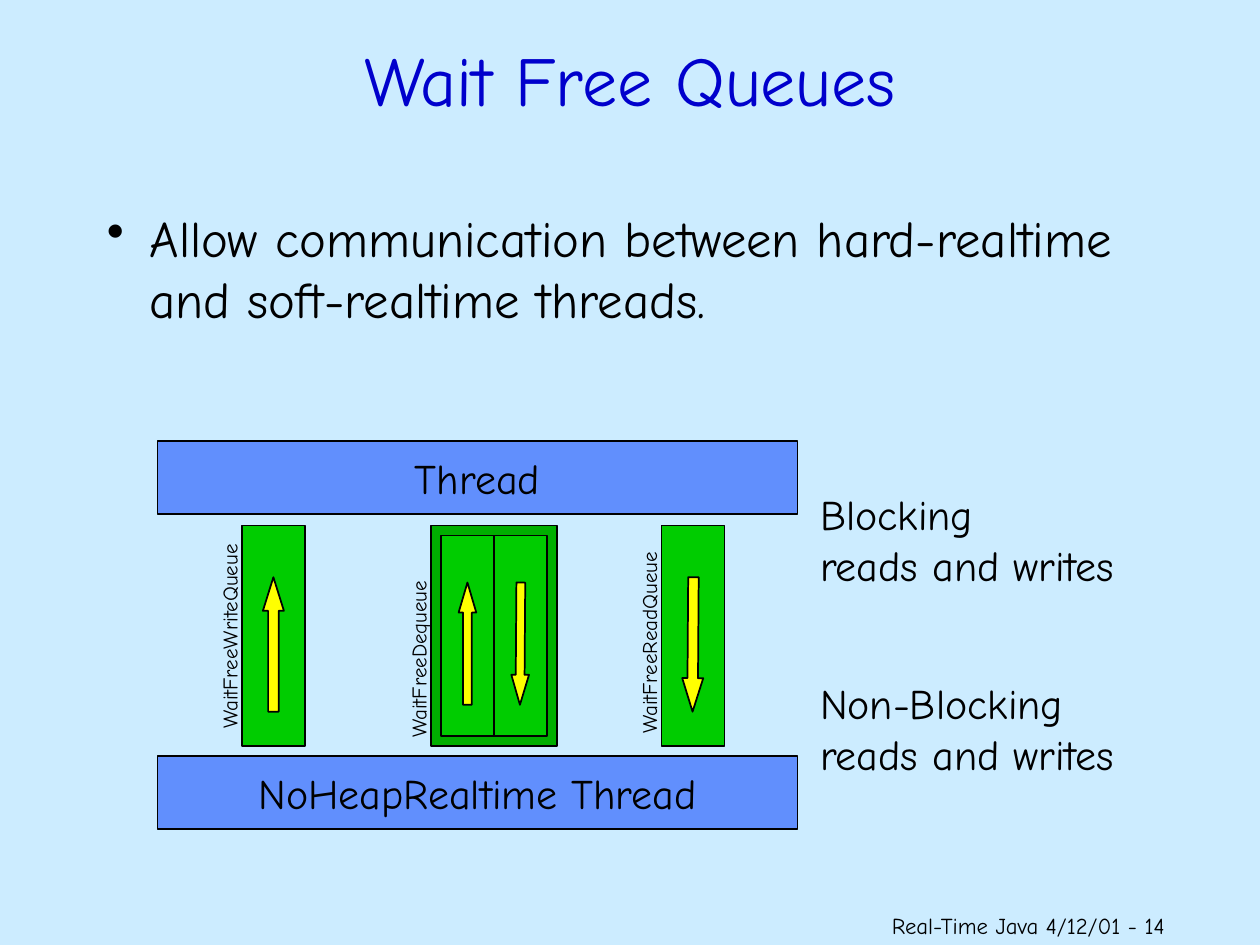
import pptx
import pptx.util
import pptx.dml.color
import pptx.enum.shapes
import pptx.enum.text
from lxml import etree

Inch = pptx.util.Inches
Pt = pptx.util.Pt
Kind = pptx.enum.shapes.MSO_SHAPE
Align = pptx.enum.text.PP_ALIGN
Mid = pptx.enum.text.MSO_ANCHOR.MIDDLE
Top = pptx.enum.text.MSO_ANCHOR.TOP

FONT = "Comic Neue"
HUES = {"sky": "CCECFF", "title": "0000CC", "ink": "000000", "bar": "618FFD",
        "lane": "00CC00", "frame": "00AE00", "arrow": "FFFF00"}

TITLE = "Wait Free Queues"
POINT = "Allow communication between hard-realtime and soft-realtime threads."
FOOT = "Real-Time Java 4/12/01 - 14"
BARS = [("Thread", 3.5), ("NoHeapRealtime Thread", 6)]
SIDES = [("Blocking", 3.83), ("Non-Blocking", 5.33)]
SIDE = "reads and writes"
UP, DOWN = 0, 180.4
ROW, TALL = 4.17, 1.75
QUEUES = [
    ("WaitFreeWriteQueue", 1.92, 0.5, 1.68, 5.04, [UP]),
    ("WaitFreeDequeue", 3.42, 1, 1.46, 5.22, [UP, DOWN]),
    ("WaitFreeReadQueue", 5.25, 0.5, 1.66, 5.09, [DOWN]),
]
PAD = 0.08

deck = pptx.Presentation()
deck.slide_width, deck.slide_height = Inch(10), Inch(7.5)
slide = deck.slides.add_slide(deck.slide_layouts[5])


def hue(name):
    return pptx.dml.color.RGBColor.from_string(HUES[name])


def put(item, form):
    for key, val in form.items():
        setattr(item, key, val)


def write(shape, lines, size, tint="ink", align=Align.LEFT, anchor=Top, wrap=True):
    frame = shape.text_frame
    put(frame, {"text": "\n".join(lines), "word_wrap": wrap, "vertical_anchor": anchor,
                "margin_left": Inch(0.1), "margin_right": Inch(0.1),
                "margin_top": Inch(0.05), "margin_bottom": Inch(0.05)})
    for para in frame.paragraphs:
        para.alignment = align
        for run in para.runs:
            put(run.font, {"name": FONT, "size": Pt(size)})
            run.font.color.rgb = hue(tint)


def note(area, lines, size, **form):
    box = slide.shapes.add_textbox(*map(Inch, area))
    write(box, lines, size, **form)
    return box


def draw(kind, area, tint):
    shape = slide.shapes.add_shape(kind, *map(Inch, area))
    shape.shadow.inherit = False
    shape.fill.solid()
    shape.fill.fore_color.rgb = hue(tint)
    shape.line.color.rgb = hue("ink")
    shape.line.width = Pt(1)
    return shape


def lane(left, top, wide, tall, turn):
    draw(Kind.RECTANGLE, (left, top, wide, tall), "lane")
    broad, long = wide / 3, tall * 0.61
    x = left + (wide - broad) / 2
    y = top + (tall - long) / 2 + tall * 0.04
    arrow = draw(Kind.UP_ARROW, (x, y, broad, long), "arrow")
    arrow.adjustments[1] = 1.6 if wide == 0.5 else 1.7
    arrow.rotation = turn


slide.background.fill.solid()
slide.background.fill.fore_color.rgb = hue("sky")

title = slide.shapes.title
put(title, {"left": 0, "top": 0, "width": Inch(10), "height": Inch(1.25)})
write(title, [TITLE], 40, tint="title", align=Align.CENTER, anchor=Mid)

body = note((0.75, 1.5, 8.5, 1.2), [POINT], 29)
para = body.text_frame.paragraphs[0]
props = para._p.get_or_add_pPr()
props.set("marL", str(Inch(0.34)))
props.set("indent", str(-Inch(0.34)))
etree.SubElement(props, pptx.oxml.ns.qn("a:buChar")).set("char", "•")
body.text_frame.margin_top = Inch(0.14)

for text, top in BARS:
    bar = draw(Kind.RECTANGLE, (1.25, top, 5.08, 0.58), "bar")
    write(bar, [text], 24, align=Align.CENTER, anchor=Mid)

for text, top in SIDES:
    note((6.41, top, 2.55, 0.9), [text, SIDE], 24, wrap=False)

for name, left, wide, span, mid, turns in QUEUES:
    if len(turns) == 1:
        lane(left, ROW, wide, TALL, turns[0])
    else:
        draw(Kind.RECTANGLE, (left, ROW, wide, TALL), "frame")
        part = (wide - 2 * PAD) / len(turns)
        for i, turn in enumerate(turns):
            lane(left + PAD + i * part, ROW + PAD, part, TALL - 2 * PAD, turn)
    label = note((left - 0.1 - span / 2, mid - 0.15, span, 0.3), [name], 12, wrap=False)
    label.rotation = 270

note((6.98, 7.19, 3, 0.31), [FOOT], 13)

deck.save("out.pptx")
